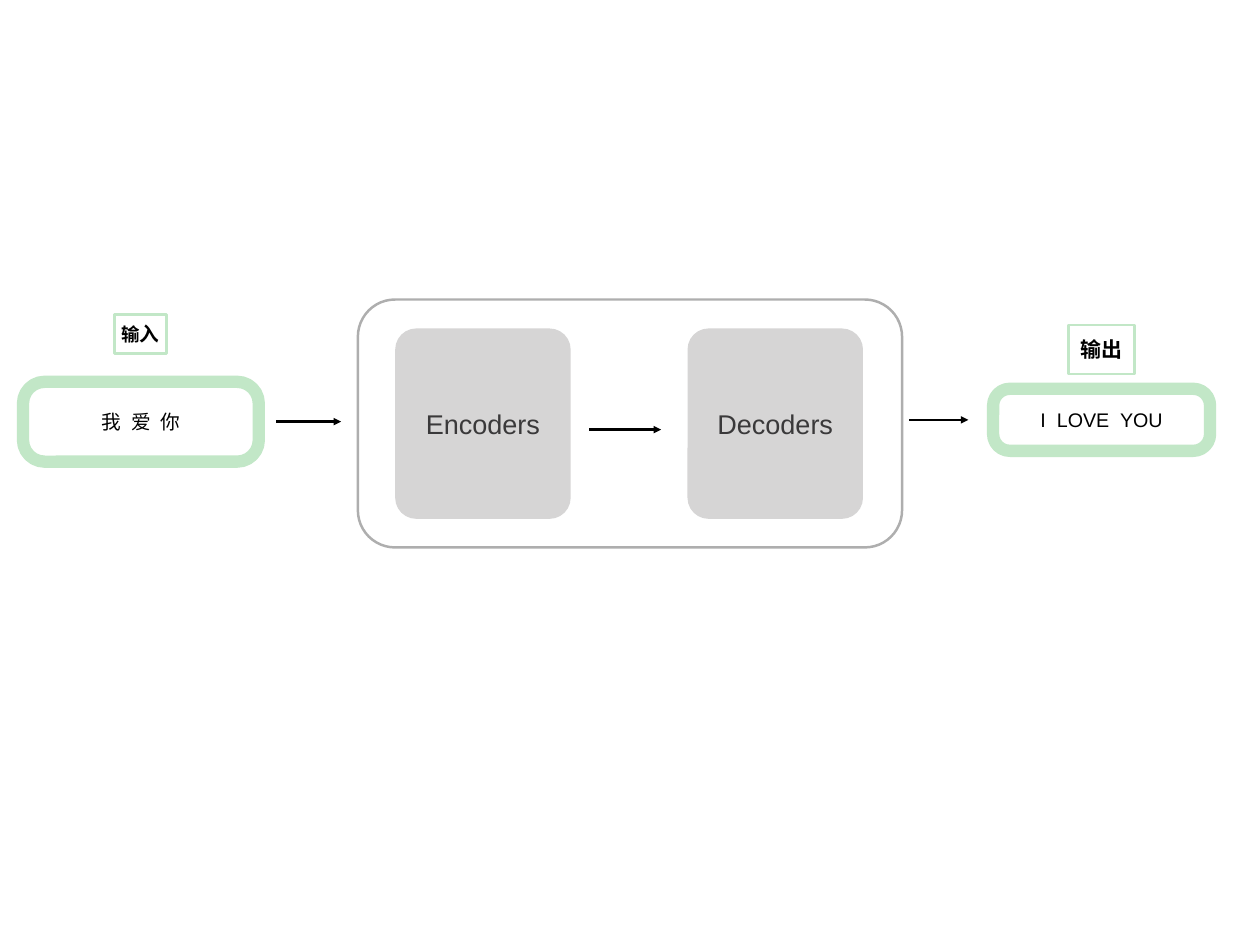
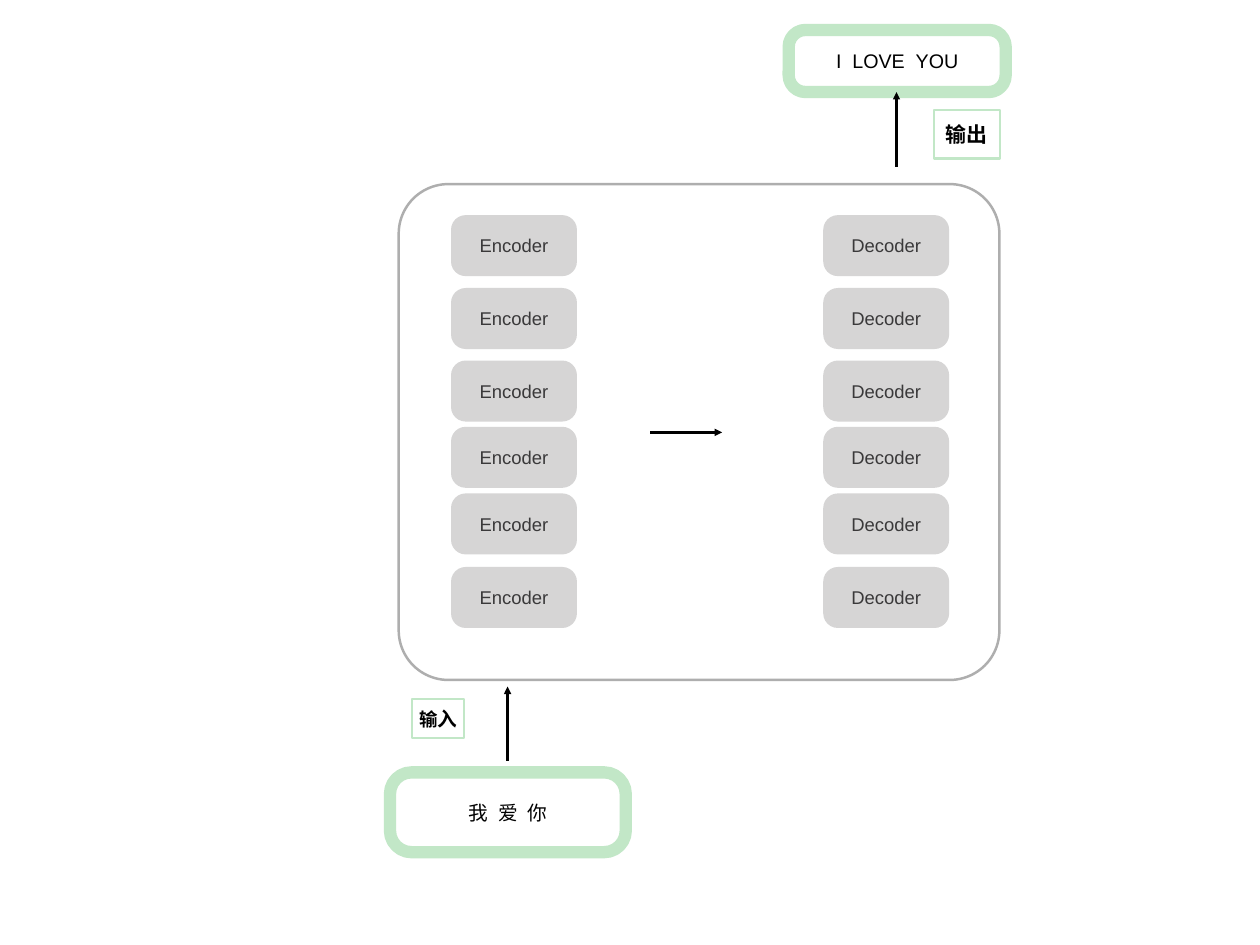
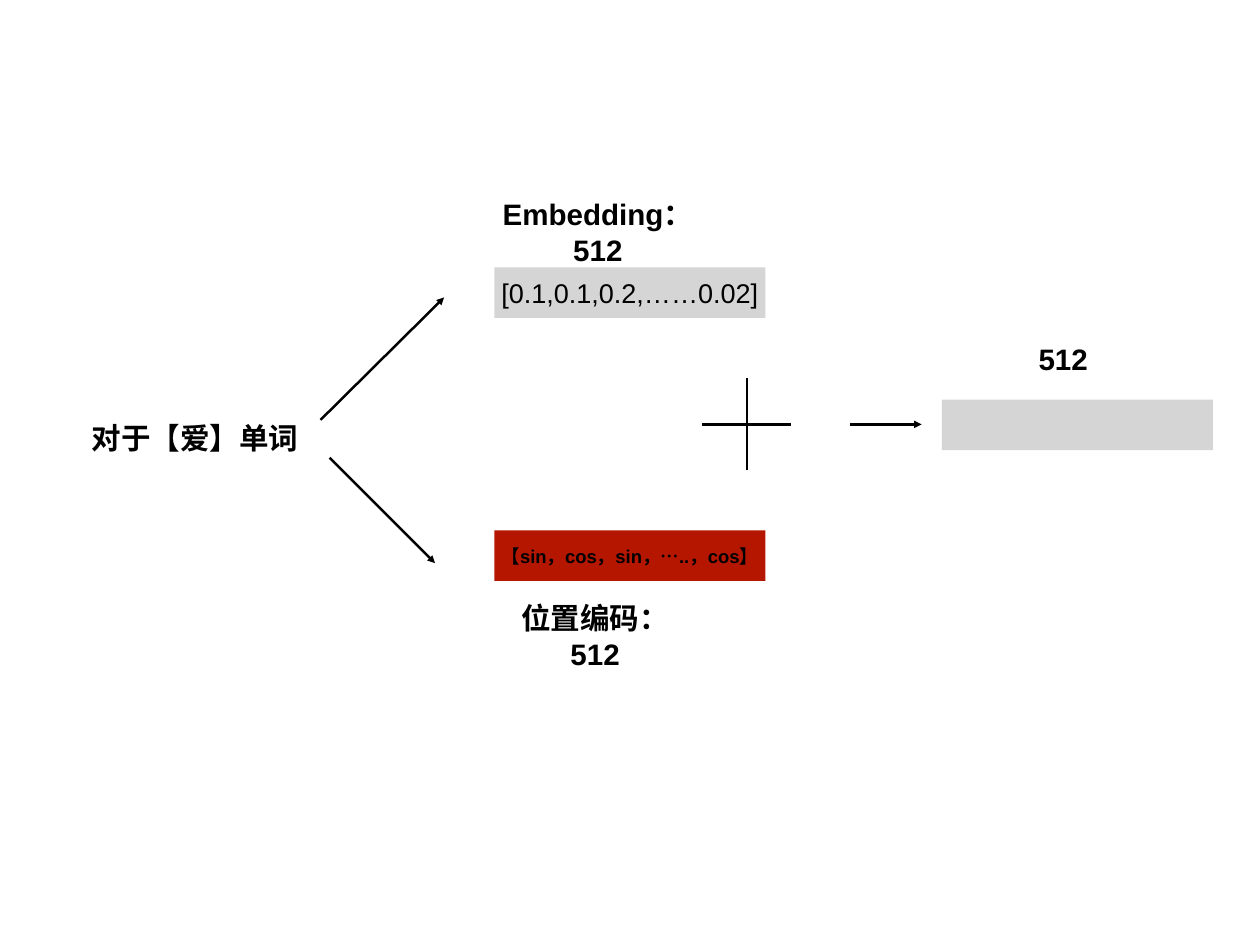
from pptx import Presentation
from pptx.dml.color import RGBColor
from pptx.enum.shapes import MSO_CONNECTOR as Connector, MSO_SHAPE as Shape
from pptx.enum.text import MSO_ANCHOR as Anchor, PP_ALIGN as Align
from pptx.oxml.ns import qn
from pptx.util import Cm, Pt
from lxml.etree import SubElement

BLACK, WHITE = "000000", "FFFFFF"
GREY, DARK_GREY, FRAME_GREY = "D6D5D5", "3A393A", "AEAEAE"
GREEN, RED = "C2E7C7", "B51600"


def color(value):
    return RGBColor.from_string(value)


class Diagram:
    font = "Arial"
    inset = 0.15
    word_gap = "445"

    def __init__(self, width, height):
        self.presentation = Presentation()
        self.presentation.slide_width = Cm(width)
        self.presentation.slide_height = Cm(height)
        self.slide = None

    def new_slide(self):
        layout = self.presentation.slide_layouts[6]
        self.slide = self.presentation.slides.add_slide(layout)

    def set_text(self, shape, text, size, ink=BLACK, bold=False, last_size=None):
        frame = shape.text_frame
        frame.word_wrap = True
        frame.vertical_anchor = Anchor.MIDDLE
        frame.margin_left = frame.margin_right = Cm(self.inset)
        frame.margin_top = frame.margin_bottom = Cm(self.inset)
        paragraph = frame.paragraphs[0]
        paragraph.alignment = Align.CENTER
        paragraph.font.name = self.font
        paragraph.font.size = Pt(size)
        paragraph.font.bold = bold
        paragraph.font.color.rgb = color(ink)
        if last_size:
            paragraph.add_run().text = text[:-1]
            last = paragraph.add_run()
            last.text = text[-1]
            last.font.size = Pt(last_size)
            return
        for index, word in enumerate(text.split(" ")):
            if index:
                gap = paragraph.add_run()
                gap.text = " "
                gap._r.get_or_add_rPr().set("spc", self.word_gap)
            paragraph.add_run().text = word

    def box(self, left, top, width, height, fill=None, line=None, weight=2, radius=None):
        kind = Shape.RECTANGLE if radius is None else Shape.ROUNDED_RECTANGLE
        shape = self.slide.shapes.add_shape(kind, Cm(left), Cm(top), Cm(width), Cm(height))
        shape.shadow.inherit = False
        if radius is not None:
            shape.adjustments[0] = radius
        if fill:
            shape.fill.solid()
            shape.fill.fore_color.rgb = color(fill)
        else:
            shape.fill.background()
        if line:
            shape.line.color.rgb = color(line)
            shape.line.width = Pt(weight)
        else:
            shape.line.fill.background()
        return shape

    def panel(self, left, top, width, height, radius):
        self.box(left, top, width, height, WHITE, FRAME_GREY, radius=radius)

    def block(self, text, left, top, width, height, size, radius):
        shape = self.box(left, top, width, height, GREY, radius=radius)
        self.set_text(shape, text, size, DARK_GREY)

    def sentence(self, text, left, top, width, height):
        shape = self.box(left, top, width, height, WHITE, GREEN, 10, 0.27)
        self.set_text(shape, text, 16)

    def tag(self, text, left, top, width, height, size, last_size=None):
        shape = self.box(left, top, width, height, line=GREEN)
        self.set_text(shape, text, size, bold=True, last_size=last_size)

    def source(self, left, top, tag_left, tag_top):
        self.sentence("我 爱 你", left, top, 6.76, 2.29)
        self.tag("输入", tag_left, tag_top, 1.5, 1.12, 15, 16)

    def target(self, left, top, tag_left, tag_top):
        self.sentence("I LOVE YOU", left, top, 6.22, 1.78)
        self.tag("输出", tag_left, tag_top, 1.9, 1.4, 17)

    def vector(self, left, top, fill=GREY, text="", size=22, bold=False):
        shape = self.box(left, top, 7.77, 1.45, fill)
        if text:
            self.set_text(shape, text, size, bold=bold)

    def caption(self, text, left, top, width, height=1.45):
        shape = self.slide.shapes.add_textbox(Cm(left), Cm(top), Cm(width), Cm(height))
        self.set_text(shape, text, 24, bold=True)

    def line(self, x1, y1, x2, y2, arrow=True):
        connector = self.slide.shapes.add_connector(
            Connector.STRAIGHT, Cm(x1), Cm(y1), Cm(x2), Cm(y2))
        connector.line.color.rgb = color(BLACK)
        connector.line.width = Pt(2)
        if arrow:
            SubElement(connector.line._get_or_add_ln(), qn("a:tailEnd"), type="triangle")
        SubElement(connector._element.spPr, qn("a:effectLst"))


def overview(diagram):
    diagram.new_slide()
    diagram.panel(10.26, 8.59, 15.6, 7.11, 0.15)
    for text, left in (("Encoders", 11.33), ("Decoders", 19.71)):
        diagram.block(text, left, 9.42, 5.03, 5.46, 22, 0.12)
    diagram.source(0.66, 10.95, 3.28, 9.02)
    diagram.target(28.47, 11.15, 30.63, 9.32)
    for start, end, y in ((7.92, 9.78, 12.09), (26.06, 27.76, 12.04), (16.89, 18.95, 12.32)):
        diagram.line(start, y, end, y)


def stacks(diagram):
    diagram.new_slide()
    diagram.source(11.18, 22.15, 11.81, 20.04)
    diagram.target(22.61, 0.86, 26.77, 3.15)
    diagram.panel(11.43, 5.28, 17.22, 14.22, 0.1)
    for text, left in (("Encoder", 12.93), ("Decoder", 23.6)):
        for top in (6.17, 8.26, 10.34, 12.24, 14.15, 16.26):
            diagram.block(text, left, top, 3.61, 1.75, 15, 0.24)
    diagram.line(18.64, 12.4, 20.7, 12.4)
    diagram.line(25.7, 4.78, 25.7, 2.64)
    diagram.line(14.55, 21.82, 14.55, 19.69)


def embedding(diagram):
    diagram.new_slide()
    diagram.caption("对于【爱】单词", 2.34, 11.84, 6.5)
    diagram.line(9.19, 12.04, 12.73, 8.53)
    diagram.line(9.45, 13.13, 12.47, 16.15)
    diagram.vector(14.17, 7.67, text="[0.1,0.1,0.2,……0.02]")
    diagram.caption("Embedding：512", 14.1, 5.92, 6.08)
    diagram.vector(14.17, 15.21, RED, "【sin，cos，sin，…..，cos】", 15, True)
    diagram.caption("位置编码：512", 14.71, 17.5, 4.7)
    diagram.line(20.12, 12.17, 22.68, 12.17, arrow=False)
    diagram.line(21.41, 13.49, 21.41, 10.85, arrow=False)
    diagram.line(24.38, 12.17, 26.42, 12.17)
    diagram.vector(27, 11.46)
    diagram.caption("512", 29.4, 9.65, 2.16, 1.27)


def main():
    diagram = Diagram(36.12, 27.1)
    for build in (overview, stacks, embedding):
        build(diagram)
    diagram.presentation.save("out.pptx")


if __name__ == "__main__":
    main()
